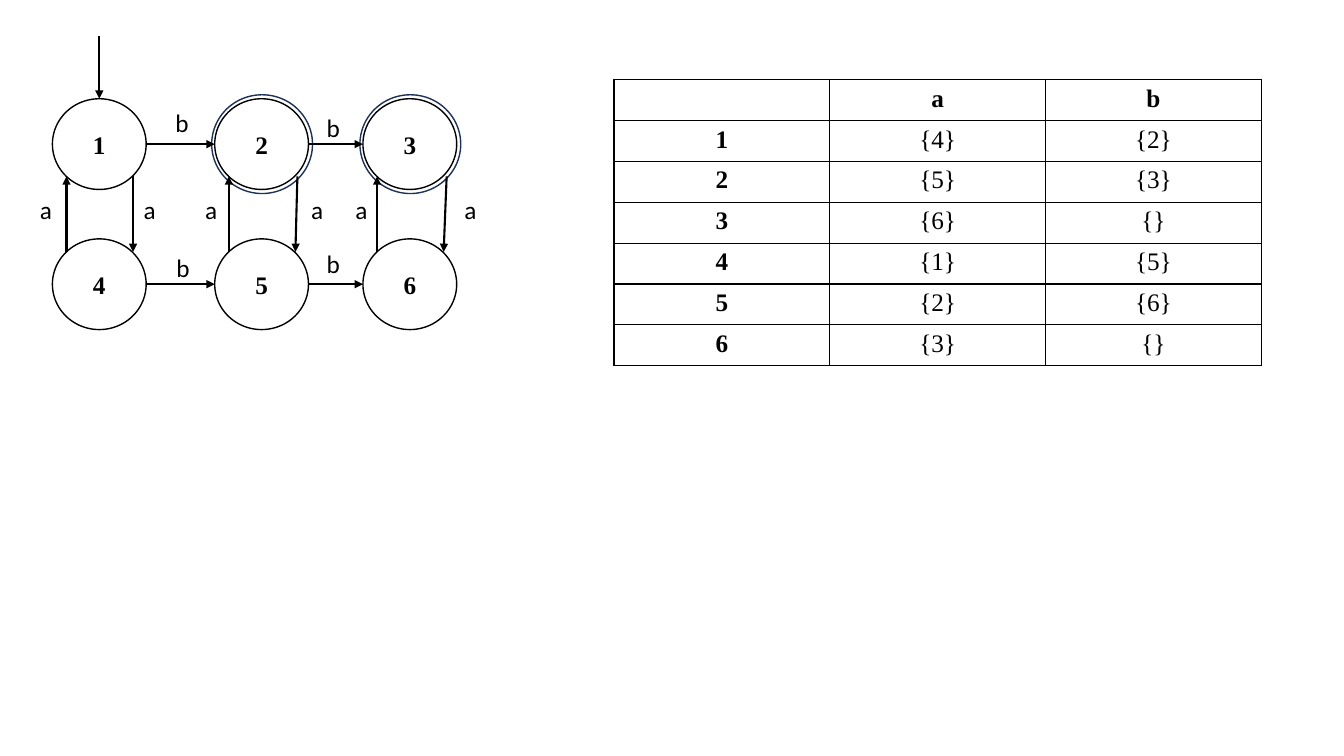
from lxml.etree import SubElement
from pptx import Presentation
from pptx.dml.color import RGBColor
from pptx.enum.shapes import MSO_CONNECTOR, MSO_SHAPE
from pptx.enum.text import MSO_AUTO_SIZE, PP_ALIGN
from pptx.oxml.ns import qn
from pptx.util import Inches, Pt

BLACK = "000000"
NAVY = "1E3256"
SERIF = "Times New Roman"
SANS = "Calibri"

STATE_WIDTH, STATE_HEIGHT = 0.93, 0.9
COLUMN_LEFTS = (0.27, 1.88, 3.35)
ROW_TOPS = (0.62, 2.01)
TRANSITIONS = (
    ("", "a", "b"),
    ("1", "{4}", "{2}"),
    ("2", "{5}", "{3}"),
    ("3", "{6}", "{}"),
    ("4", "{1}", "{5}"),
    ("5", "{2}", "{6}"),
    ("6", "{3}", "{}"),
)


def color(hex_string):
    return RGBColor.from_string(hex_string)


def format_text(text_frame, text, font_name, bold=False):
    text_frame.text = text
    paragraph = text_frame.paragraphs[0]
    paragraph.alignment = PP_ALIGN.CENTER
    for run in paragraph.runs:
        run.font.name = font_name
        run.font.size = Pt(18)
        run.font.bold = bold
        run.font.color.rgb = color(BLACK)


def add_label(slide, left, top, width, text, font_name, bold=False):
    label = slide.shapes.add_textbox(Inches(left), Inches(top), Inches(width), Inches(0.4))
    label.text_frame.word_wrap = True
    label.text_frame.auto_size = MSO_AUTO_SIZE.SHAPE_TO_FIT_TEXT
    format_text(label.text_frame, text, font_name, bold)


def add_ring(slide, left, top, width, height, line_color):
    ring = slide.shapes.add_shape(
        MSO_SHAPE.OVAL, Inches(left), Inches(top), Inches(width), Inches(height)
    )
    ring.shadow.inherit = False
    ring.fill.background()
    ring.line.color.rgb = color(line_color)
    ring.line.width = Pt(1)


def add_arrow(slide, start_x, start_y, end_x, end_y):
    arrow = slide.shapes.add_connector(
        MSO_CONNECTOR.STRAIGHT, Inches(start_x), Inches(start_y), Inches(end_x), Inches(end_y)
    )
    arrow.line.color.rgb = color(BLACK)
    arrow.line.width = Pt(1.5)
    SubElement(arrow.line._get_or_add_ln(), qn("a:tailEnd"), type="triangle")
    SubElement(arrow._element.spPr, qn("a:effectLst"))


def add_automaton(slide, left, top):
    lefts = [left + offset for offset in COLUMN_LEFTS]
    tops = [top + offset for offset in ROW_TOPS]

    for row, state_top in enumerate(tops):
        for column, state_left in enumerate(lefts):
            add_ring(slide, state_left, state_top, STATE_WIDTH, STATE_HEIGHT, BLACK)
            number = str(row * len(lefts) + column + 1)
            add_label(slide, state_left + 0.15, state_top + 0.25, 0.63, number, SERIF, True)

    for state_left in lefts[1:]:
        add_ring(slide, state_left - 0.03, tops[0] - 0.04, 1, 0.98, NAVY)

    start_x = lefts[0] + STATE_WIDTH / 2
    add_arrow(slide, start_x, top, start_x, tops[0])

    for state_top in tops:
        middle = state_top + STATE_HEIGHT / 2
        for source, target in zip(lefts, lefts[1:]):
            add_arrow(slide, source + STATE_WIDTH, middle, target, middle)

    upper, lower = tops[0] + 0.77, tops[1] + 0.13
    for state_left, slant in zip(lefts, (0, 0.02, 0.03)):
        down_x = state_left + 0.8
        add_arrow(slide, down_x + slant, upper, down_x, lower)
        add_arrow(slide, state_left + 0.14, lower, state_left + 0.14, upper)

    for label_left, label_top in ((1.35, 0.66), (2.85, 0.71), (1.36, 2.09), (2.85, 2.05)):
        add_label(slide, left + label_left, top + label_top, 0.41, "b", SANS)
    for label_left in (0, 1.03, 1.64, 2.69, 3.13, 4.21):
        add_label(slide, left + label_left, top + 1.52, 0.41, "a", SANS)


def add_cell_borders(cell):
    properties = cell._tc.get_or_add_tcPr()
    for position, side in enumerate(("a:lnL", "a:lnR", "a:lnT", "a:lnB")):
        border = properties.makeelement(qn(side), {"w": str(Pt(1))})
        fill = SubElement(border, qn("a:solidFill"))
        SubElement(fill, qn("a:srgbClr"), val=BLACK)
        properties.insert(position, border)


def add_transition_table(slide, left, top, width, height):
    row_count, column_count = len(TRANSITIONS), len(TRANSITIONS[0])
    table = slide.shapes.add_table(
        row_count, column_count, Inches(left), Inches(top), Inches(width), Inches(height)
    ).table
    table.first_row = False
    table.horz_banding = False
    for row, values in enumerate(TRANSITIONS):
        for column, value in enumerate(values):
            cell = table.cell(row, column)
            cell.fill.background()
            format_text(cell.text_frame, value, SERIF, row == 0 or column == 0)
            add_cell_borders(cell)


presentation = Presentation()
presentation.slide_width = Inches(13.33)
presentation.slide_height = Inches(7.5)
slide = presentation.slides.add_slide(presentation.slide_layouts[6])
add_automaton(slide, 0.25, 0.36)
add_transition_table(slide, 6.09, 0.79, 6.42, 2.84)
presentation.save("out.pptx")
